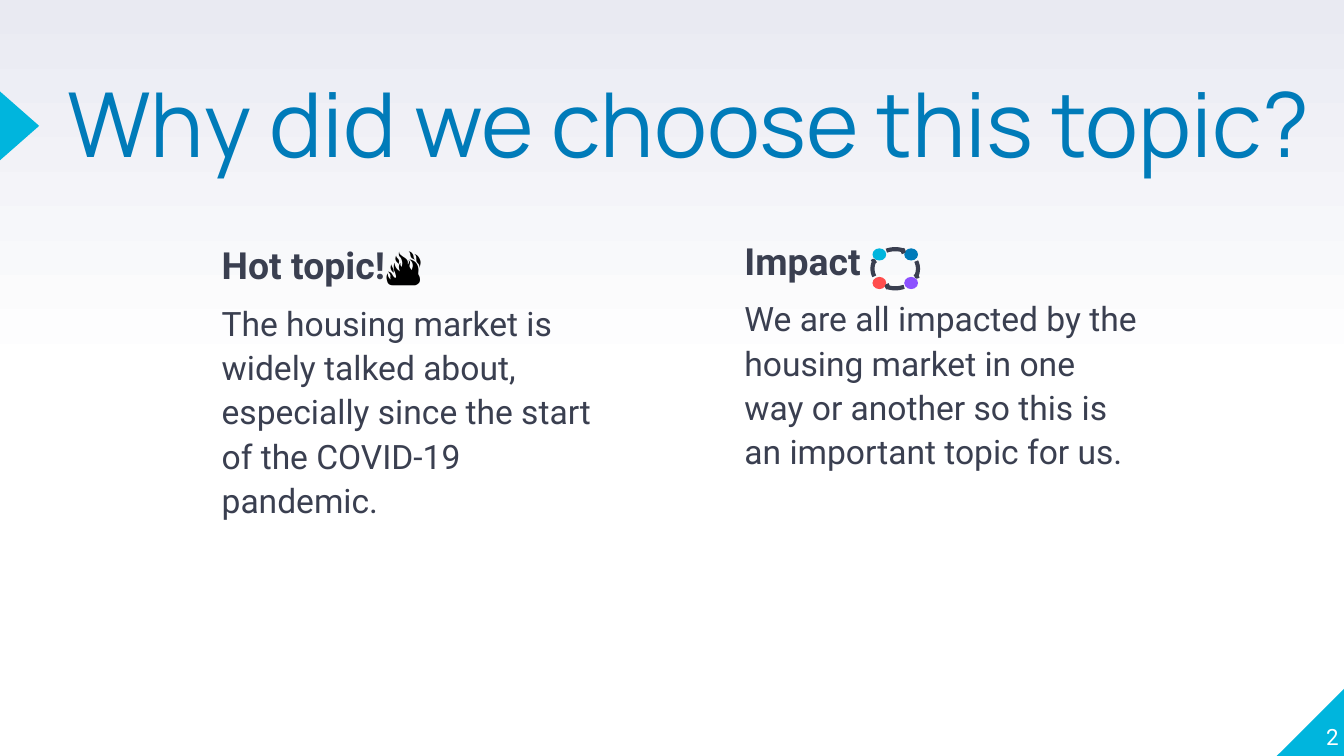
from math import cos, radians, sin

from pptx import Presentation
from pptx.dml.color import RGBColor
from pptx.enum import shapes, text
from pptx.util import Cm, Pt

WHITE = RGBColor(0xFF, 0xFF, 0xFF)
HAZE = RGBColor(0xE9, 0xEA, 0xF2)
BLACK = RGBColor(0, 0, 0)
INK = RGBColor(0x3A, 0x3F, 0x50)
BLUE = RGBColor(0x00, 0x7B, 0xB9)
CYAN = RGBColor(0x00, 0xB5, 0xDD)
PURPLE = RGBColor(0x8C, 0x50, 0xFF)
RED = RGBColor(0xFF, 0x4D, 0x4D)

TITLE = dict(name="Manrope", size=Pt(48), color=BLUE)
HEADING = dict(name="Roboto", size=Pt(20), bold=True, color=INK)
EMOJI = dict(name="Cambria", size=Pt(20), color=BLACK)
BODY = dict(name="Roboto", size=Pt(18), bold=False, color=INK)
NUMBER = dict(name="Roboto", size=Pt(12), color=WHITE)


class Deck:
    def __init__(self):
        self.prs = Presentation()
        self.prs.slide_width, self.prs.slide_height = Cm(25.4), Cm(14.29)
        self.s = self.prs.slides.add_slide(self.prs.slide_layouts[6])

    def background(self):
        """Fade from white at mid-height to haze at the top edge."""
        fill = self.s.background.fill
        fill.gradient()
        fill.gradient_angle = 90
        for stop, position, color in zip(fill.gradient_stops, (0.5, 1), (WHITE, HAZE)):
            stop.position = position
            stop.color.rgb = color

    def shape(self, kind, box, color, rotation=0, parent=None):
        sp = (parent or self.s).shapes.add_shape(kind, *map(Cm, box))
        sp.shadow.inherit = False
        sp.fill.solid()
        sp.fill.fore_color.rgb = color
        sp.line.fill.background()
        sp.rotation = rotation

    def text(self, box, paragraphs, spacing=1.0, before=0,
             align=text.PP_ALIGN.LEFT, anchor=text.MSO_ANCHOR.TOP):
        """Each paragraph is a list of (wording, font style) runs."""
        tf = self.s.shapes.add_textbox(*map(Cm, box)).text_frame
        frame = dict(word_wrap=True, vertical_anchor=anchor, margin_left=0,
                     margin_top=0, margin_right=0, margin_bottom=0)
        for key, value in frame.items():
            setattr(tf, key, value)
        for i, runs in enumerate(paragraphs):
            p = tf.add_paragraph() if i else tf.paragraphs[0]
            p.line_spacing, p.alignment = spacing, align
            if i:
                p.space_before = Pt(before)
            for wording, style in runs:
                r = p.add_run()
                r.text = wording
                for key, value in style.items():
                    if key == "color":
                        r.font.color.rgb = value
                    else:
                        setattr(r.font, key, value)

    def stroke(self, points, parent):
        """Open outline through points given in centimetres."""
        start, *rest = [(Cm(x), Cm(y)) for x, y in points]
        builder = parent.shapes.build_freeform(*start)
        builder.add_line_segments(rest, close=False)
        sp = builder.convert_to_shape()
        sp.shadow.inherit = False
        sp.fill.background()
        sp.line.color.rgb = INK
        sp.line.width = Pt(2.25)

    def cycle_icon(self, cx, cy):
        """Four dots joined by a ring of arrows around the centre."""
        group = self.s.shapes.add_group_shape()
        w, h = 0.26, 0.23
        dots = ((1, -1, BLUE), (1, 1, PURPLE), (-1, -1, CYAN), (-1, 1, RED))
        for dx, dy, color in dots:
            box = (cx + 0.3 * dx - w / 2, cy + 0.27 * dy - h / 2, w, h)
            self.shape(shapes.MSO_SHAPE.OVAL, box, color, parent=group)
        for middle in range(0, 360, 90):
            angles = [radians(middle + 23 * k / 4) for k in range(-4, 5)]
            self.stroke([(cx + 0.43 * cos(a), cy + 0.37 * sin(a)) for a in angles], group)
        heads = (((0.38, 0.1), (0.41, 0.15), (0.44, 0.13)),
                 ((-0.11, 0.31), (-0.16, 0.33), (-0.13, 0.37)))
        for head in heads:
            for sign in (1, -1):
                self.stroke([(cx + sign * x, cy + sign * y) for x, y in head], group)


def main():
    deck = Deck()
    deck.background()
    deck.shape(shapes.MSO_SHAPE.RIGHT_TRIANGLE, (24.13, 12.99, 1.3, 1.3), CYAN, 270)
    deck.shape(shapes.MSO_SHAPE.ISOSCELES_TRIANGLE, (-0.28, 2.01, 1.3, 0.74), CYAN, 90)
    deck.text((1.27, 1.68, 24.13, 3), [[("Why did we choose this topic?", TITLE)]], spacing=0.8)

    columns = (
        (4.19, 4.5, [("Hot topic!", HEADING), ("🔥", EMOJI)],
         "The housing market is widely talked about, especially since the start "
         "of the COVID-19 pandemic."),
        (14.07, 4.42, [("Impact", HEADING)],
         "We are all impacted by the housing market in one way or another so this "
         "is an important topic for us."),
    )
    for left, top, heading, body in columns:
        deck.text((left, top, 7.44, 7.44), [heading, [(body, BODY)]], spacing=1.1, before=6)

    deck.text((24.03, 12.88, 1.27, 1.3), [[("2", NUMBER)]],
              align=text.PP_ALIGN.RIGHT, anchor=text.MSO_ANCHOR.BOTTOM)
    deck.cycle_icon(16.92, 5.08)
    deck.prs.save("out.pptx")


if __name__ == "__main__":
    main()
